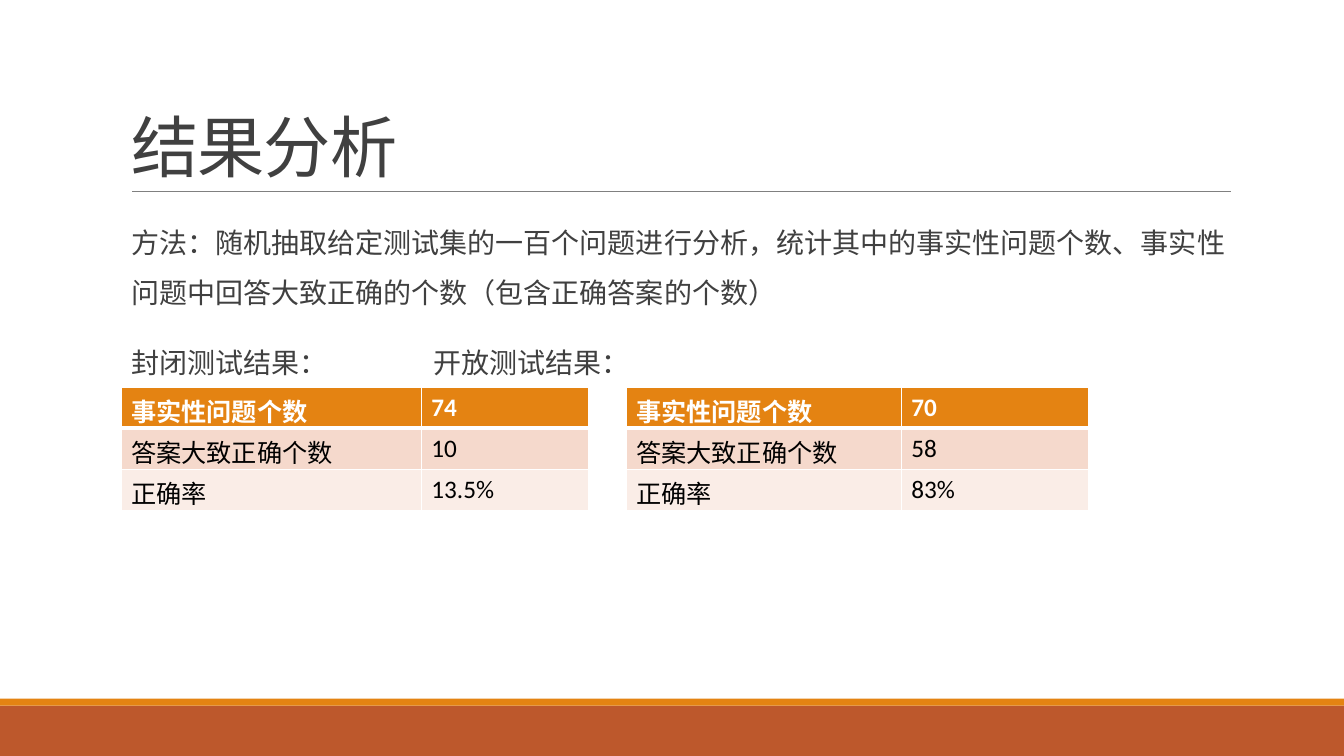
import pptx
import pptx.util
import pptx.dml.color
import pptx.enum.shapes
import pptx.enum.text
import pptx.oxml.xmlchemy

WIDE = pptx.util.Inches(13.33)
HIGH = pptx.util.Inches(7.5)
FONT = "Calibri"
WHITE, BLACK, GREY = "FFFFFF", "000000", "404040"
GOLD, RUST = "E48312", "BD582C"
ROWS = [(GOLD, WHITE, True), ("F5D9CC", BLACK, False), ("FAEDE7", BLACK, False)]
LABELS = ["事实性问题个数", "答案大致正确个数", "正确率"]


def across(share):
    return round(WIDE * share / 100)


def down(share):
    return round(HIGH * share / 100)


def area(left, top, width, height):
    return across(left), down(top), across(width), down(height)


def color(code):
    return pptx.dml.color.RGBColor.from_string(code)


def node(parent, tag, **attrs):
    child = pptx.oxml.xmlchemy.OxmlElement(tag)
    for key, value in attrs.items():
        child.set(key, str(value))
    parent.append(child)
    return child


def write(para, text, size, code, bold=False):
    run = para.add_run()
    run.text = text
    run.font.name = FONT
    run.font.size = pptx.util.Pt(size)
    run.font.bold = bold
    run.font.color.rgb = color(code)
    return run


def band(slide, top, height, code):
    shape = slide.shapes.add_shape(
        pptx.enum.shapes.MSO_SHAPE.RECTANGLE, *area(0, top, 100, height))
    shape.shadow.inherit = False
    shape.fill.solid()
    shape.fill.fore_color.rgb = color(code)
    shape.line.fill.background()


def rule(slide, left, right, top):
    line = slide.shapes.add_connector(
        pptx.enum.shapes.MSO_CONNECTOR.STRAIGHT,
        across(left), down(top), across(right), down(top))
    line.line.color.rgb = color("808080")
    line.line.width = pptx.util.Pt(0.5)
    node(line._element.spPr, "a:effectLst")


def head(slide, text):
    title = slide.shapes.title
    title.left, title.top, title.width, title.height = area(9, 4.13, 82.5, 21.2)
    frame = title.text_frame
    frame.vertical_anchor = pptx.enum.text.MSO_ANCHOR.BOTTOM
    frame.auto_size = pptx.enum.text.MSO_AUTO_SIZE.NONE
    para = frame.paragraphs[0]
    para.alignment = pptx.enum.text.PP_ALIGN.LEFT
    para.line_spacing = 0.85
    run = write(para, text, 48, GREY)
    run.font._element.set("spc", "-50")


def body(slide, texts):
    frame = slide.shapes.add_textbox(*area(9, 26.93, 82.5, 58.67)).text_frame
    frame.word_wrap = True
    frame.margin_left = frame.margin_right = 0
    for i, text in enumerate(texts):
        para = frame.add_paragraph() if i else frame.paragraphs[0]
        para.line_spacing = 1.5
        para.space_before = pptx.util.Pt(12)
        para.space_after = pptx.util.Pt(2)
        props = para._p.get_or_add_pPr()
        props.set("marL", str(pptx.util.Inches(0.1)))
        props.set("indent", "0")
        stops = node(props, "a:tabLst")
        for inch in (3, 4, 5):
            node(stops, "a:tab", pos=pptx.util.Inches(inch), algn="l")
        write(para, text, 20, GREY)


def edge(cell, first):
    props = cell._tc.get_or_add_tcPr()
    for i, side in enumerate(("L", "R", "T", "B")):
        width = 3 if first and side == "B" else 1
        line = node(props, "a:ln" + side, w=pptx.util.Pt(width))
        node(node(line, "a:solidFill"), "a:srgbClr", val=WHITE)
        props.insert(i, line)


def grid(slide, left, widths, values):
    frame = slide.shapes.add_table(
        len(ROWS), len(widths), *area(left, 51.2, sum(widths), 16.29))
    table = frame.table
    for col, width in zip(table.columns, widths):
        col.width = across(width)
    for r, (fill, ink, bold) in enumerate(ROWS):
        table.rows[r].height = down(5.43)
        for c, text in enumerate((LABELS[r], values[r])):
            cell = table.cell(r, c)
            cell.fill.solid()
            cell.fill.fore_color.rgb = color(fill)
            edge(cell, r == 0)
            write(cell.text_frame.paragraphs[0], text, 18, ink, bold)


def main():
    deck = pptx.Presentation()
    deck.slide_width, deck.slide_height = WIDE, HIGH
    slide = deck.slides.add_slide(deck.slide_layouts[5])
    band(slide, 93.33, 6.67, RUST)
    band(slide, 92.4, 0.93, GOLD)
    rule(slide, 9.83, 91.6, 25.33)
    head(slide, "结果分析")
    body(slide, [
        "方法：随机抽取给定测试集的一百个问题进行分析，统计其中的事实性问题个数、"
        "事实性问题中回答大致正确的个数（包含正确答案的个数）",
        "封闭测试结果：\t\t\t开放测试结果：",
    ])
    grid(slide, 9, (22.35, 12.45), ("74", "10", "13.5%"))
    grid(slide, 46.58, (20.48, 13.95), ("70", "58", "83%"))
    deck.save("out.pptx")


if __name__ == "__main__":
    main()
